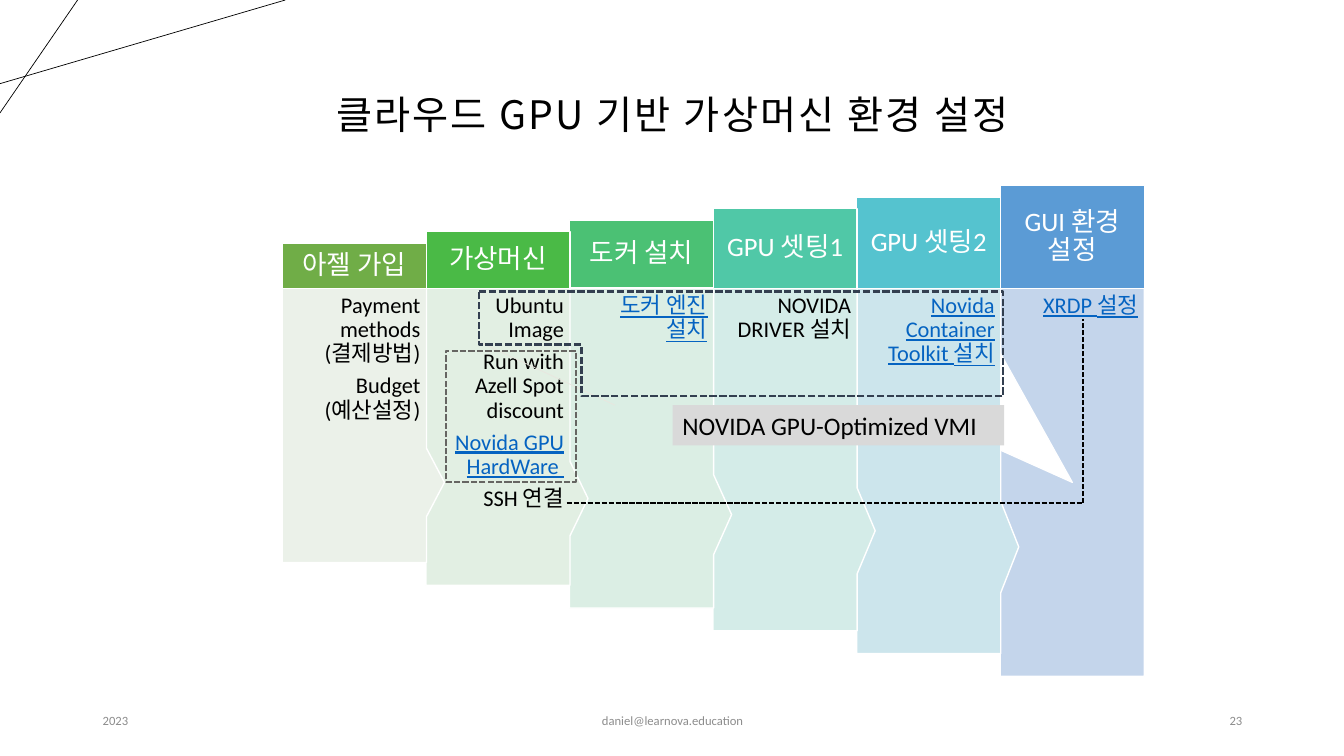
from lxml.etree import SubElement
from pptx import Presentation
from pptx.dml.color import RGBColor
from pptx.enum.dml import MSO_LINE
from pptx.enum.shapes import MSO_CONNECTOR, MSO_SHAPE
from pptx.enum.text import MSO_ANCHOR, PP_ALIGN
from pptx.oxml.ns import qn
from pptx.util import Inches, Pt

LATIN, HANGUL = "Calibri", "Noto Sans CJK KR"
BLACK, WHITE, LINK = "000000", "FFFFFF", "0563C1"

# Title, header colour, body colour, body paragraphs as (text, is link)
STEPS = [
    ("아젤 가입", "70AD47", "EBF1E9",
     [("Payment methods (결제방법)", False), ("Budget (예산설정)", False)]),
    ("가상머신", "4ABA46", "E2EFE3",
     [("Ubuntu Image", False), ("Run with Azell Spot discount", False),
      ("Novida GPU HardWare ", True), ("SSH 연결", False)]),
    ("도커 설치", "4BC174", "DBEEE4", [("도커 엔진 설치", True)]),
    ("GPU 셋팅1", "50C8A7", "D4ECE8", [("NOVIDA DRIVER 설치", False)]),
    ("GPU 셋팅2", "55C3CF", "CCE5EC", [("Novida Container Toolkit 설치", True)]),
    ("GUI 환경 설정", "5B9BD5", "C4D5EB", [("XRDP 설정", True)]),
]


def colour(value):
    return RGBColor.from_string(value)


def set_all(target, values):
    for name, value in values.items():
        setattr(target, name, value)


def set_line(line, hue, width, dashed=False):
    line.color.rgb = colour(hue)
    line.width = Pt(width)
    if dashed:
        line.dash_style = MSO_LINE.SQUARE_DOT


def set_frame(frame, insets=None, anchor=MSO_ANCHOR.TOP):
    set_all(frame, {"word_wrap": True, "vertical_anchor": anchor})
    if insets:
        sides = ("margin_left", "margin_top", "margin_right", "margin_bottom")
        set_all(frame, dict(zip(sides, map(Inches, insets))))


def add_text(frame, index, text, size, hue, format_values=None, font=LATIN, underline=None):
    para = frame.add_paragraph() if index else frame.paragraphs[0]
    set_all(para, format_values or {})
    span = para.add_run()
    span.text = text
    set_all(span.font, {"name": font, "size": Pt(size), "underline": underline})
    span.font.color.rgb = colour(hue)
    SubElement(span.font._element, qn("a:ea")).set("typeface", HANGUL)
    return span


def add_box(page, kind, box, fill=None):
    shape = page.shapes.add_shape(kind, *map(Inches, box))
    shape.shadow.inherit = False
    shape.line.fill.background()
    if fill:
        shape.fill.solid()
        shape.fill.fore_color.rgb = colour(fill)
    else:
        shape.fill.background()
    return shape


def add_line(page, start, end, hue, width, dashed=False):
    line = page.shapes.add_connector(
        MSO_CONNECTOR.STRAIGHT, *map(Inches, (*start, *end)))
    set_line(line.line, hue, width, dashed)
    SubElement(line._element.spPr, qn("a:effectLst"))


def add_label(page, box, text, size, hue, align, font=LATIN, spacing=None):
    frame = page.shapes.add_textbox(*map(Inches, box)).text_frame
    set_frame(frame, anchor=MSO_ANCHOR.MIDDLE)
    span = add_text(frame, 0, text, size, hue, {"alignment": align}, font)
    if spacing:
        span.font._element.set("spc", str(spacing))


def add_title(page, box):
    add_line(page, (0, 0.83), (2.83, 0), BLACK, 0.5)
    add_line(page, (0.77, 0), (0, 1.12), BLACK, 0.5)
    add_label(page, box, "클라우드 GPU 기반 가상머신 환경 설정", 28, BLACK,
              PP_ALIGN.CENTER, HANGUL, 150)


def add_footer(page, box):
    left, top, width, height = box
    parts = [
        (0, 3, "2023", PP_ALIGN.LEFT),
        (3.5, 4.5, "daniel@learnova.education", PP_ALIGN.CENTER),
        (width - 3, 3, "23", PP_ALIGN.RIGHT),
    ]
    for offset, part_width, text, align in parts:
        add_label(page, (left + offset, top, part_width, height), text, 9, "8C8C8C", align)


def add_step(page, box, header_height, step, tip):
    title, header_fill, body_fill, lines = step
    left, top, width, height = box
    spacing = {"line_spacing": 0.9}

    # Body, whose callout tip points into the next column
    body = add_box(page, MSO_SHAPE.RECTANGULAR_CALLOUT, box, body_fill)
    set_line(body.line, WHITE, 1)
    for index, value in enumerate(tip):
        body.adjustments[index] = value
    set_frame(body.text_frame, (0.24, 0.06, 0.06, 0.06))
    for index, (text, is_link) in enumerate(lines):
        values = {"alignment": PP_ALIGN.RIGHT, "space_after": Pt(5.6), **spacing}
        add_text(body.text_frame, index, text, 16, LINK if is_link else BLACK,
                 values, underline=is_link)

    # Header standing on the body
    header = add_box(page, MSO_SHAPE.RECTANGLE,
                     (left, top - header_height, width, header_height), header_fill)
    set_line(header.line, WHITE, 1)
    set_frame(header.text_frame, (0.07,) * 4, MSO_ANCHOR.MIDDLE)
    add_text(header.text_frame, 0, title, 19, WHITE,
             {"alignment": PP_ALIGN.CENTER, **spacing})


def add_staircase(page, box):
    left, top, width, height = box
    gaps = len(STEPS) - 1
    step_width = 1.43
    pitch = (width - step_width) / gaps
    first_header, last_header = 0.45, 1.02
    first_body = 2.72
    # Right to left, so each tip lies over the next column
    for index in reversed(range(len(STEPS))):
        share = index / gaps
        body_height = first_body + (height - first_body) * share
        header_height = first_header + (last_header - first_header) * share
        tip = (0, 0) if index == gaps else (0.625, 0.208)
        add_step(page, (left + index * pitch, top, step_width, body_height),
                 header_height, STEPS[index], tip)


def add_image_scope(page, box):
    left, top, width, height = box
    right, bottom = left + width, top + height
    add_line(page, (left - 0.02, top + 0.49), (left + 1.35, top + 1.13), "E9E6DF", 0.5)

    # Dashed outline around the parts the image covers
    notch_x, notch_y = left + 1.02, top + 0.53
    corners = [(right, top), (right, bottom), (notch_x, bottom),
               (notch_x, notch_y), (left, notch_y)]
    builder = page.shapes.build_freeform(Inches(left), Inches(top))
    builder.add_line_segments([tuple(map(Inches, corner)) for corner in corners], close=True)
    outline = builder.convert_to_shape()
    outline.shadow.inherit = False
    outline.fill.background()
    set_line(outline.line, "333F50", 1.75, True)

    # Grey caption
    caption = add_box(page, MSO_SHAPE.RECTANGLE,
                      (right - 3.28, bottom + 0.09, 3.29, 0.4), "D9D9D9")
    set_frame(caption.text_frame)
    add_text(caption.text_frame, 0, "NOVIDA GPU-Optimized VMI", 18, BLACK,
             {"alignment": PP_ALIGN.LEFT})


def add_machine_links(page, box):
    hardware = add_box(page, MSO_SHAPE.RECTANGLE, box)
    set_line(hardware.line, "666562", 1.5, True)

    # Dashed route from SSH to XRDP
    left, top, width, height = box
    start = (left + 1.2, top + height + 0.21)
    corner = (left + 6.32, start[1])
    add_line(page, start, corner, BLACK, 1.25, True)
    add_line(page, corner, (corner[0], top - 0.32), BLACK, 1.25, True)


def main():
    deck = Presentation()
    set_all(deck, {"slide_width": Inches(13.33), "slide_height": Inches(7.5)})
    page = deck.slides.add_slide(deck.slide_layouts[6])
    add_title(page, (0.92, 0.4, 11.5, 1.45))
    add_footer(page, (0.92, 6.95, 11.5, 0.4))
    add_staircase(page, (2.8, 2.86, 8.55, 3.85))
    add_image_scope(page, (4.75, 2.89, 5.2, 1.04))
    add_machine_links(page, (4.42, 3.48, 1.29, 1.3))
    deck.save("out.pptx")


if __name__ == "__main__":
    main()
